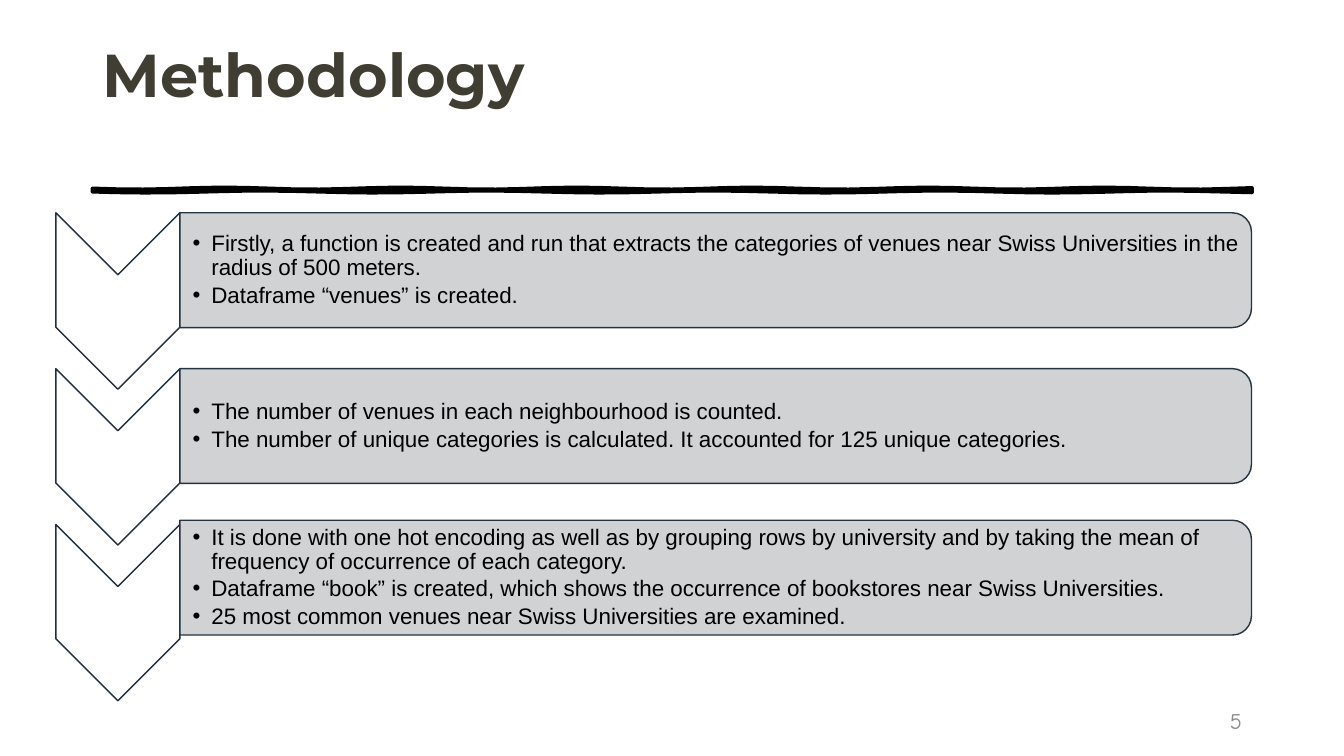
from math import sin

from lxml import etree
from pptx import Presentation
from pptx.dml.color import RGBColor
from pptx.enum import shapes, text
from pptx.oxml import ns
from pptx.util import Pt

BLACK = RGBColor(0x00, 0x00, 0x00)
WHITE = RGBColor(0xFF, 0xFF, 0xFF)
OLIVE = RGBColor(0x40, 0x3E, 0x33)
SILVER = RGBColor(0xCD, 0xCE, 0xCF)
NAVY = RGBColor(0x21, 0x2E, 0x3B)
SLATE = RGBColor(0x24, 0x33, 0x41)
GREY = RGBColor(0x8C, 0x8C, 0x8C)

STEPS = [
    ["Firstly, a function is created and run that extracts the categories of "
     "venues near Swiss Universities in the radius of 500 meters.",
     "Dataframe “venues” is created."],
    ["The number of venues in each neighbourhood is counted.",
     "The number of unique categories is calculated. "
     "It accounted for 125 unique categories."],
    ["It is done with one hot encoding as well as by grouping rows by "
     "university and by taking the mean of frequency of occurrence of each category.",
     "Dataframe “book” is created, which shows the occurrence of "
     "bookstores near Swiss Universities.",
     "25 most common venues near Swiss Universities are examined."],
]


def place(shape, left, top, width, height):
    shape.left, shape.top = Pt(left), Pt(top)
    shape.width, shape.height = Pt(width), Pt(height)


def paint(shape, fill, line, weight):
    shape.shadow.inherit = False
    shape.fill.solid()
    shape.fill.fore_color.rgb = fill
    shape.line.color.rgb = line
    shape.line.width = Pt(weight)


def style(para, face, size, color, bold=False):
    for run in para.runs:
        font = run.font
        font.name, font.size, font.bold = face, Pt(size), bold
        font.color.rgb = color


def turned(slide, kind, left, top, width, height, fill, line):
    """Add a shape turned by 90 degrees that fills the given box."""
    shift = (width - height) / 2
    shape = slide.shapes.add_shape(
        kind, Pt(left + shift), Pt(top - shift), Pt(height), Pt(width))
    shape.rotation = 90
    paint(shape, fill, line, 1)
    return shape


def add_title(slide, left, top, width, height):
    title = slide.shapes.title
    place(title, left, top, width, height)
    frame = title.text_frame
    frame.text = "Methodology"
    frame.auto_size = text.MSO_AUTO_SIZE.NONE
    frame.vertical_anchor = text.MSO_ANCHOR.TOP
    para = frame.paragraphs[0]
    para.alignment = text.PP_ALIGN.LEFT
    para.line_spacing = 0.9
    style(para, "Montserrat", 43.2, OLIVE, True)


def add_rule(slide, left, top, width, height):
    """Draw a brush stroke with gently uneven edges."""
    count = 46
    gap = width / count
    upper = [(left + i * gap, top + 0.7 * sin(i * 0.9)) for i in range(count + 1)]
    lower = [(left + i * gap, top + height + 0.7 * sin(i * 0.7))
             for i in range(count, -1, -1)]
    points = [(Pt(x), Pt(y)) for x, y in upper + lower]
    pen = slide.shapes.build_freeform(*points[0])
    pen.add_line_segments(points[1:], close=True)
    paint(pen.convert_to_shape(), BLACK, BLACK, 3)


def add_bullet(para):
    props = para._p.get_or_add_pPr()
    props.set("marL", str(Pt(13.5)))
    props.set("indent", str(-Pt(13.5)))
    etree.SubElement(props, ns.qn("a:buFont"), typeface="Arial")
    etree.SubElement(props, ns.qn("a:buChar"), char="•")


def add_step(slide, body, lines, left, top, width, height, lift):
    arrow = 88.6
    # Chevron
    turned(slide, shapes.MSO_SHAPE.CHEVRON, left, top, arrow, 126, WHITE, NAVY)

    # Panel
    side, top = left + arrow, top - lift
    panel = turned(slide, shapes.MSO_SHAPE.ROUND_2_SAME_RECTANGLE,
                   side, top, width - arrow, height, SILVER, SLATE)
    tint = panel.fill._xPr.find(".//" + ns.qn("a:srgbClr"))
    etree.SubElement(tint, ns.qn("a:alpha"), val="90000")

    # List, brought in front of the panel
    slide.shapes.element.append(body.element)
    place(body, side, top + 4, width - arrow - 4, height - 8)
    frame = body.text_frame
    frame.text = "\n".join(lines)
    frame.word_wrap = True
    frame.auto_size = text.MSO_AUTO_SIZE.NONE
    frame.vertical_anchor = text.MSO_ANCHOR.MIDDLE
    frame.margin_left = Pt(9)
    frame.margin_top = frame.margin_right = frame.margin_bottom = Pt(0.8)
    for para in frame.paragraphs:
        para.line_spacing = 0.9
        para.space_before, para.space_after = Pt(0), Pt(2.4)
        add_bullet(para)
        style(para, "Arial", 16, BLACK)


def add_number(slide, left, top, width, height):
    box = slide.shapes.add_textbox(Pt(left), Pt(top), Pt(width), Pt(height))
    frame = box.text_frame
    frame.text = "5"
    frame.word_wrap = True
    frame.vertical_anchor = text.MSO_ANCHOR.MIDDLE
    para = frame.paragraphs[0]
    para.alignment = text.PP_ALIGN.RIGHT
    style(para, "Comic Neue", 16, GREY)


def main():
    deck = Presentation()
    deck.slide_width, deck.slide_height = Pt(960), Pt(540)
    # The comparison layout offers one body for each step and a spare
    slide = deck.slides.add_slide(deck.slide_layouts[4])
    *bodies, spare = list(slide.placeholders)[1:]
    spare.element.getparent().remove(spare.element)

    add_rule(slide, 66.2, 134.8, 828, 2)
    add_title(slide, 66.2, 28.8, 828, 104.4)
    lifts = [0, 0, 3]
    for i, (body, lines, lift) in enumerate(zip(bodies, STEPS, lifts)):
        add_step(slide, body, lines, 39.9, 152 + i * 111.3, 854, 82, lift)
    add_number(slide, 678.2, 500.4, 216, 28.8)
    deck.save("out.pptx")


if __name__ == "__main__":
    main()
